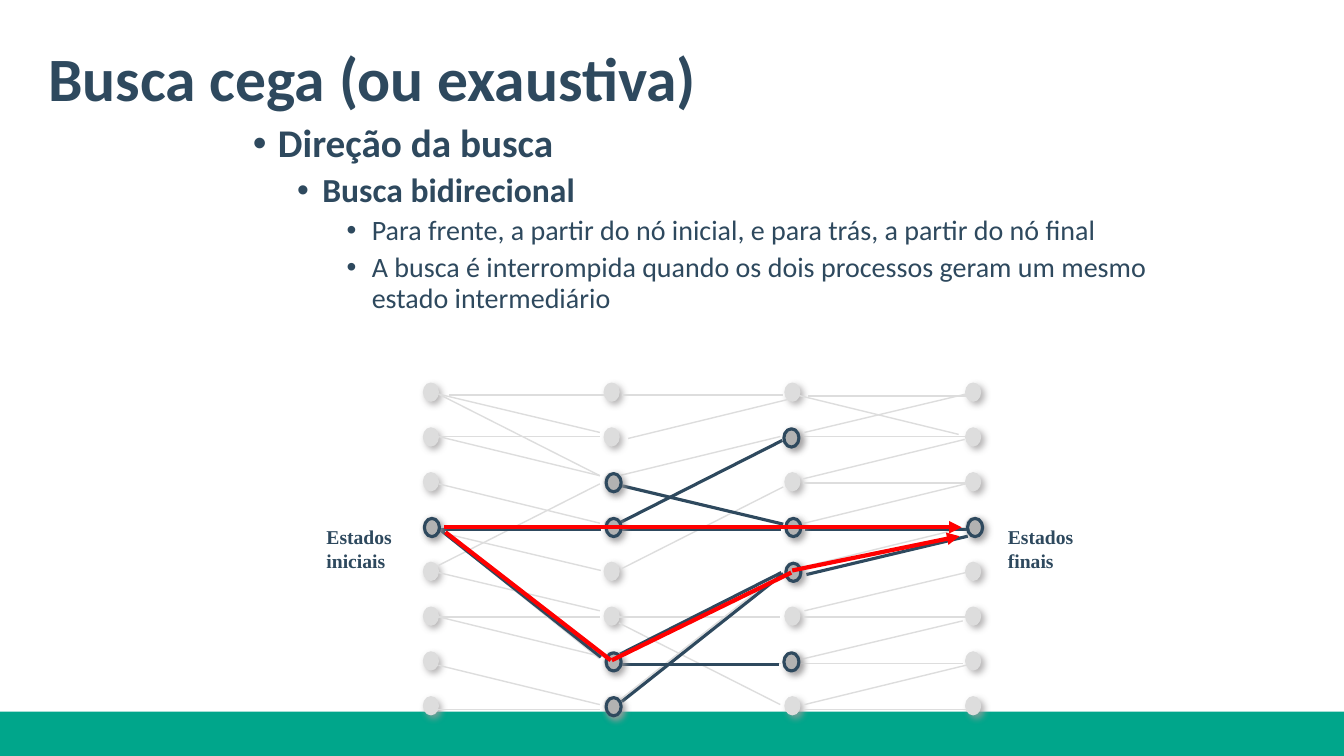
from dataclasses import dataclass
from itertools import product

from lxml.etree import SubElement
from pptx import Presentation
from pptx.dml.color import RGBColor
from pptx.enum.shapes import MSO_CONNECTOR as Connector, MSO_SHAPE as Shape
from pptx.enum.text import MSO_ANCHOR as Anchor
from pptx.oxml.ns import qn
from pptx.util import Pt


@dataclass(frozen=True)
class Theme:
    ink: str = "2E495E"
    band: str = "00A68B"
    idle: str = "DDDDDD"
    visited: str = "B2B2B2"
    route: str = "FF0000"
    shadow: str = "9F9D9E"
    body_font: str = "Calibri"
    label_font: str = "Times New Roman"
    title_size: int = 44
    label_size: int = 14
    level_sizes: tuple = (28, 24, 20)
    idle_line: float = 1
    visited_line: float = 2.25
    route_line: float = 3


THEME = Theme()
COLUMNS, ROWS = 4, 8
GRID_LEFT, GRID_TOP = 302.4, 273.6
COLUMN_STEP, ROW_STEP = 129.1, 32
NODE_WIDTH, NODE_HEIGHT = 10.8, 13
EDGE_WIDTH = 115.3

# Outer and inner heights of the edges shared by the first and last gaps
MIRRORED_EDGES = [(281.5, 308.9), (311.8, 311.8), (345.6, 373.7), (409, 436.3),
                  (440.6, 440.6), (475.2, 503.3), (506.9, 506.9)]
LEFT_GAP, RIGHT_GAP = 313.2, 574.6

# Left end, height at the left, height at the right
IDLE_EDGES = [
    (313.2, 403.9, 345.6), (313.2, 440.6, 468.7), (313.2, 281.5, 339.8),
    (313.2, 311.8, 339.8), (313.9, 380.2, 407.5), (320.4, 282.2, 282.2),
    (312.5, 377.3, 470.2), (314.6, 376.6, 376.6),
    (442.1, 339.8, 311.8), (442.1, 440.6, 440.6), (442.1, 345.6, 373.7),
    (442.1, 445, 503.3), (442.1, 500.4, 409), (444.2, 406.1, 347.8),
    (445, 372.2, 313.9), (442.8, 473.8, 473.8), (444.2, 282.2, 282.2),
    (448.6, 313.2, 285.1), (442.8, 376.6, 376.6), (443.5, 469.4, 411.1),
    (439.9, 376.6, 376.6),
    (575.3, 404.6, 376.6), (575.3, 376.6, 376.6), (573.8, 342, 313.9),
    (573.8, 344.9, 344.9), (572.4, 470.9, 443.5), (572.4, 473.8, 473.8),
    (569.5, 282.2, 310.3), (577.4, 283, 283),
]
VISITED_EDGES = [
    (313.9, 378, 378), (313.9, 378, 469.4),
    (443.5, 373, 314.6), (441.4, 474.5, 474.5), (442.8, 378, 378),
    (442.8, 467.3, 409), (444.2, 347, 374.4), (444.2, 501.1, 409.7),
    (575.3, 378, 378), (576, 410.4, 383),
]
# Column, row, horizontal shift
VISITED_NODES = [(0, 3, 0.7), (1, 2, 1.4), (1, 3, 1.4), (1, 6, 1.4), (1, 7, 1.4),
                 (2, 1, -0.7), (2, 3, 0.7), (2, 4, 0.7), (2, 6, -0.7), (3, 3, 1.4)]
VISITED_DROP = 0.7

# Start, end, has an arrowhead
ROUTES = [
    ((317.5, 376.6), (686.9, 376.6), True),
    ((565.9, 407.5), (685.4, 383), True),
    ((318.2, 380.2), (436.3, 471.6), False),
    ((437, 471.6), (565.2, 409), False),
]

# Level, left margin, text
TOPICS = [
    (0, 54, "Direção da busca"),
    (1, 85.7, "Busca bidirecional"),
    (2, 121, "Para frente, a partir do nó inicial, e para trás, a partir do nó final"),
    (2, 121, "A busca é interrompida quando os dois processos geram um mesmo "
             "estado intermediário"),
]
BULLET_HANG = 18


def rgb(value):
    return RGBColor.from_string(value)


def style_font(font, name, size, bold=True):
    font.name, font.size, font.bold = name, Pt(size), bold
    font.color.rgb = rgb(THEME.ink)


def add_band(slide, width):
    band = slide.shapes.add_shape(Shape.RECTANGLE, 0, Pt(508.3), width, Pt(31.7))
    band.shadow.inherit = False
    band.fill.solid()
    band.fill.fore_color.rgb = rgb(THEME.band)
    band.line.fill.background()


def add_soft_shadow(shape):
    shape.shadow.inherit = False
    effects = shape.element.spPr.find(qn("a:effectLst"))
    outer = SubElement(effects, qn("a:outerShdw"), blurRad=str(Pt(5)),
                       dist=str(Pt(3)), dir=str(45 * 60000))
    color = SubElement(outer, qn("a:srgbClr"), val=THEME.shadow)
    SubElement(color, qn("a:alpha"), val="75000")


def add_node(slide, column, row, fill, outline, weight, shift=(0, 0)):
    left = GRID_LEFT + column * COLUMN_STEP + shift[0]
    top = GRID_TOP + row * ROW_STEP + shift[1]
    node = slide.shapes.add_shape(Shape.OVAL, Pt(left), Pt(top),
                                  Pt(NODE_WIDTH), Pt(NODE_HEIGHT))
    node.fill.solid()
    node.fill.fore_color.rgb = rgb(fill)
    node.line.color.rgb = rgb(outline)
    node.line.width = Pt(weight)
    add_soft_shadow(node)


def add_line(slide, start, end, color, weight, arrow=False):
    line = slide.shapes.add_connector(Connector.STRAIGHT, *map(Pt, start + end))
    line.line.color.rgb = rgb(color)
    line.line.width = Pt(weight)
    properties = line.element.spPr
    if arrow:
        SubElement(properties.find(qn("a:ln")), qn("a:tailEnd"), type="triangle")
    SubElement(properties, qn("a:effectLst"))


def add_edges(slide, edges, color, weight):
    for left, y_left, y_right in edges:
        add_line(slide, (left, y_left), (left + EDGE_WIDTH, y_right), color, weight)


def add_text_box(slide, left, top, width, height, anchor, wrap=True):
    box = slide.shapes.add_textbox(Pt(left), Pt(top), Pt(width), Pt(height))
    box.text_frame.word_wrap = wrap
    box.text_frame.vertical_anchor = anchor
    return box.text_frame


def add_title(slide, text):
    frame = add_text_box(slide, 27.4, 5.8, 828, 104.4, Anchor.MIDDLE)
    frame.text = text
    para = frame.paragraphs[0]
    para.line_spacing = 0.9
    style_font(para.runs[0].font, THEME.body_font, THEME.title_size)


def add_topics(slide):
    frame = add_text_box(slide, 137.5, 85, 684, 260.6, Anchor.TOP)
    frame.margin_right = 0
    for index, (level, margin, text) in enumerate(TOPICS):
        para = frame.add_paragraph() if index else frame.paragraphs[0]
        para.text = text
        para.level = level
        para.line_spacing = 0.9
        if index:
            para.space_before = Pt(5)
        properties = para._p.get_or_add_pPr()
        properties.set("marL", str(Pt(margin)))
        properties.set("indent", str(-Pt(BULLET_HANG)))
        SubElement(properties, qn("a:buFont"), typeface="Arial")
        SubElement(properties, qn("a:buChar"), char="•")
        style_font(para.runs[0].font, THEME.body_font, THEME.level_sizes[level], level < 2)


def add_state_label(slide, left, text):
    frame = add_text_box(slide, left, 371.5, 65.5, 41, Anchor.MIDDLE, wrap=False)
    frame.text = text
    for para in frame.paragraphs:
        style_font(para.runs[0].font, THEME.label_font, THEME.label_size)


def add_search_graph(slide):
    for column, row in product(range(COLUMNS), range(ROWS)):
        add_node(slide, column, row, THEME.idle, THEME.idle, 0.75)
    mirrored = [edge for outer, inner in MIRRORED_EDGES
                for edge in ((LEFT_GAP, outer, inner), (RIGHT_GAP, inner, outer))]
    add_edges(slide, mirrored + IDLE_EDGES, THEME.idle, THEME.idle_line)
    add_edges(slide, VISITED_EDGES, THEME.ink, THEME.visited_line)
    for column, row, shift in VISITED_NODES:
        add_node(slide, column, row, THEME.visited, THEME.ink, THEME.visited_line,
                 (shift, VISITED_DROP))
    for start, end, arrow in ROUTES:
        add_line(slide, start, end, THEME.route, THEME.route_line, arrow)


def main():
    deck = Presentation()
    deck.slide_width, deck.slide_height = Pt(960), Pt(540)
    slide = deck.slides.add_slide(deck.slide_layouts[6])
    add_band(slide, deck.slide_width)
    add_title(slide, "Busca cega (ou exaustiva)")
    add_topics(slide)
    add_search_graph(slide)
    add_state_label(slide, 226.1, "Estados\niniciais")
    add_state_label(slide, 712.8, "Estados\nfinais")
    deck.save("out.pptx")


if __name__ == "__main__":
    main()
